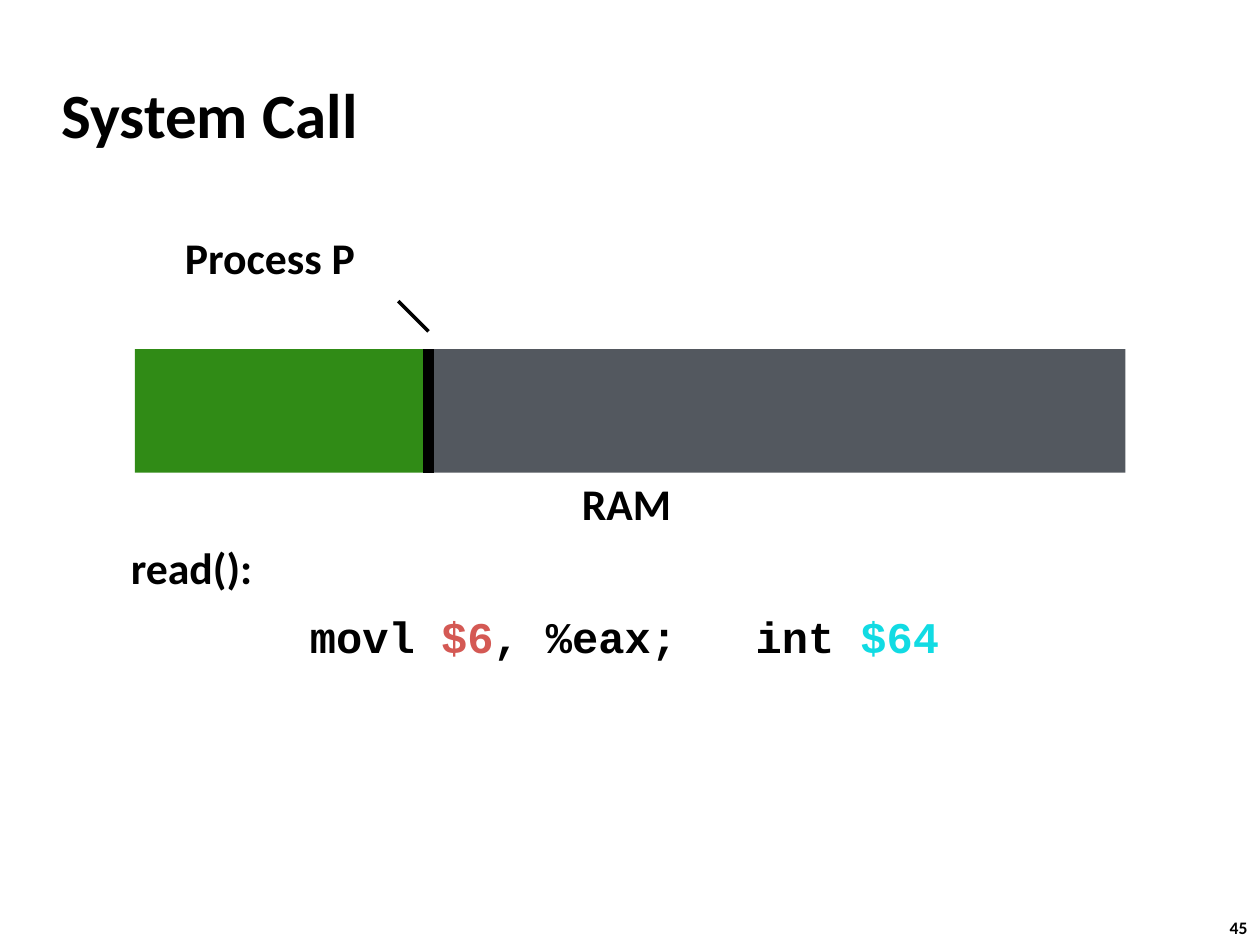
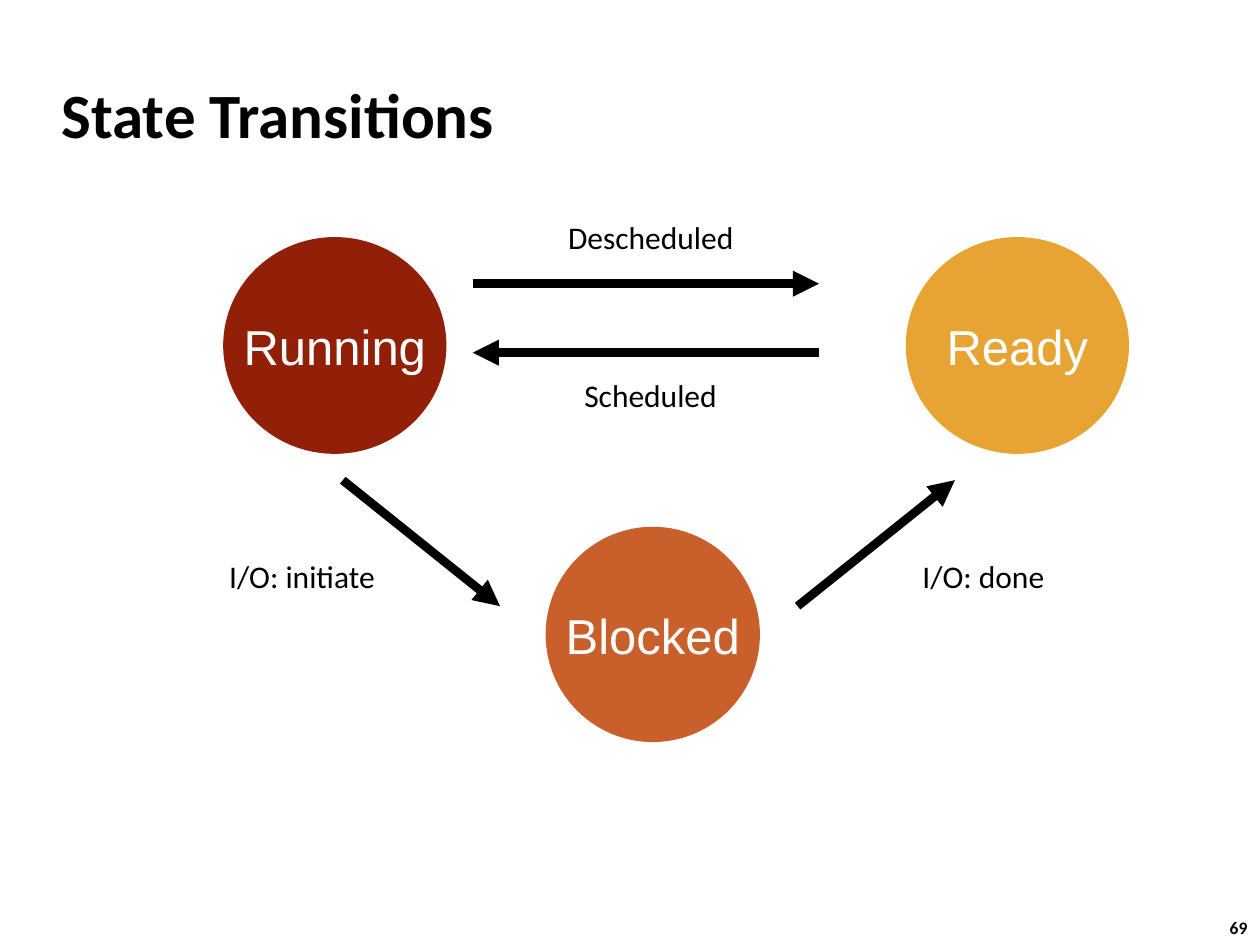
import pptx
import pptx.dml.color
import pptx.enum.shapes
import pptx.enum.text
import pptx.oxml
import pptx.oxml.ns
import pptx.util
from pptx.util import Cm

BLACK = "000000"
WHITE = "FFFFFF"
GREEN = "308B16"
GREY = "53585F"
CORAL = "D45954"
CYAN = "11DBE3"
RUNNING_RED = "921F07"
READY_YELLOW = "E8A433"
BLOCKED_ORANGE = "C95F2B"

SHAPES = pptx.enum.shapes.MSO_SHAPE
ALIGN = pptx.enum.text.PP_ALIGN
ANCHOR = pptx.enum.text.MSO_ANCHOR


def color(hex_value):
    return pptx.dml.color.RGBColor.from_string(hex_value)


class Deck:
    body_font = "Calibri"
    code_font = "Courier New"
    state_font = "Arial"

    def __init__(self):
        self.presentation = pptx.Presentation()
        self.presentation.slide_width = Cm(25.4)
        self.presentation.slide_height = Cm(19.05)
        self.slide = None

    def add_slide(self, title, number):
        self.slide = self.presentation.slides.add_slide(self.presentation.slide_layouts[6])
        self.text(str(number), 24.54, 18.36, 0.94, 0.69, 10, bold=True, anchor=ANCHOR.TOP)
        self.text(title, 0.99, 1.24, 21.08, 2.11, 36, bold=True, wrap=True)

    def format_run(self, run, size, font, hex_value, bold=False):
        run.font.size = pptx.util.Pt(size)
        run.font.name = font
        run.font.bold = bold
        run.font.color.rgb = color(hex_value)

    def set_inset(self, frame, inset):
        frame.margin_left = frame.margin_right = Cm(inset)
        frame.margin_top = frame.margin_bottom = Cm(inset)

    def text(self, content, left, top, width, height, size, bold=False, inset=None,
             align=ALIGN.LEFT, anchor=ANCHOR.MIDDLE, wrap=False):
        box = self.slide.shapes.add_textbox(Cm(left), Cm(top), Cm(width), Cm(height))
        frame = box.text_frame
        frame.text = content
        frame.word_wrap = wrap
        frame.vertical_anchor = anchor
        if inset is not None:
            self.set_inset(frame, inset)
        paragraph = frame.paragraphs[0]
        paragraph.alignment = align
        for run in paragraph.runs:
            self.format_run(run, size, self.body_font, BLACK, bold)
        return paragraph

    def heading(self, content, left, top, width):
        return self.text(content, left, top, width, 1.27, 25, bold=True, inset=0.1)

    def code(self, pieces, left, top, width):
        paragraph = self.heading("", left, top, width)
        for content, hex_value in pieces:
            run = paragraph.add_run()
            run.text = content
            self.format_run(run, 25, self.code_font, hex_value, bold=True)

    def label(self, content, left, top, width):
        self.text(content, left, top, width, 1.07, 18, inset=0.15, align=ALIGN.CENTER)

    def filled(self, preset, left, top, width, height, hex_value):
        shape = self.slide.shapes.add_shape(preset, Cm(left), Cm(top), Cm(width), Cm(height))
        shape.shadow.inherit = False
        shape.fill.solid()
        shape.fill.fore_color.rgb = color(hex_value)
        shape.line.fill.background()
        return shape

    def state(self, name, left, top, width, height, hex_value):
        shape = self.filled(SHAPES.OVAL, left, top, width, height, hex_value)
        frame = shape.text_frame
        frame.text = name
        frame.word_wrap = False
        frame.vertical_anchor = ANCHOR.MIDDLE
        self.set_inset(frame, 0)
        paragraph = frame.paragraphs[0]
        paragraph.alignment = ALIGN.CENTER
        self.format_run(paragraph.runs[0], 28, self.state_font, WHITE)

    def line(self, start, end, weight, arrow=False):
        connector = self.slide.shapes.add_connector(
            pptx.enum.shapes.MSO_CONNECTOR.STRAIGHT, *map(Cm, start + end))
        connector.line.color.rgb = color(BLACK)
        connector.line.width = pptx.util.Pt(weight)
        properties = connector.element.spPr
        properties.append(pptx.oxml.parse_xml(
            f"<a:effectLst {pptx.oxml.ns.nsdecls('a')}/>"))
        if arrow:
            connector.line._get_or_add_ln().append(pptx.oxml.parse_xml(
                f"<a:tailEnd {pptx.oxml.ns.nsdecls('a')} type='triangle'/>"))


def build_system_call(deck):
    deck.add_slide("System Call", 45)
    memory_top, memory_height = 7.04, 2.49
    boundary = 8.64
    deck.filled(SHAPES.RECTANGLE, 2.72, memory_top, 5.94, memory_height, GREEN)
    deck.filled(SHAPES.RECTANGLE, 8.69, memory_top, 14, memory_height, GREY)
    deck.line((boundary, memory_top + memory_height), (boundary, memory_top), 6)
    deck.line((boundary, 6.68), (8.03, 6.07), 2)
    deck.heading("Process P", 3.63, 4.55, 3.73)
    deck.heading("RAM", 11.63, 9.5, 2.03)
    deck.heading("read():", 2.54, 10.8, 2.67)
    deck.code([("movl ", BLACK), ("$6", CORAL), (", %eax;   int ", BLACK), ("$64", CYAN)],
              6.15, 12.19, 13.03)


def build_state_transitions(deck):
    deck.add_slide("State Transitions", 69)
    deck.state("Running", 4.5, 4.78, 4.5, 4.37, RUNNING_RED)
    deck.state("Ready", 18.26, 4.78, 4.5, 4.37, READY_YELLOW)
    deck.state("Blocked", 11, 10.62, 4.32, 4.34, BLOCKED_ORANGE)
    transitions = [
        ((9.53, 5.72), (16.51, 5.72), "Descheduled", 11.23, 4.24, 3.78),
        ((16.51, 7.11), (9.53, 7.11), "Scheduled", 11.58, 7.42, 3.07),
        ((6.91, 9.68), (10.08, 12.22), "I/O: initiate", 4.45, 11.07, 3.28),
        ((16.08, 12.22), (19.25, 9.68), "I/O: done", 18.44, 11.07, 2.77),
    ]
    for start, end, name, left, top, width in transitions:
        deck.line(start, end, 5, arrow=True)
        deck.label(name, left, top, width)


def main():
    deck = Deck()
    build_system_call(deck)
    build_state_transitions(deck)
    deck.presentation.save("out.pptx")


if __name__ == "__main__":
    main()
